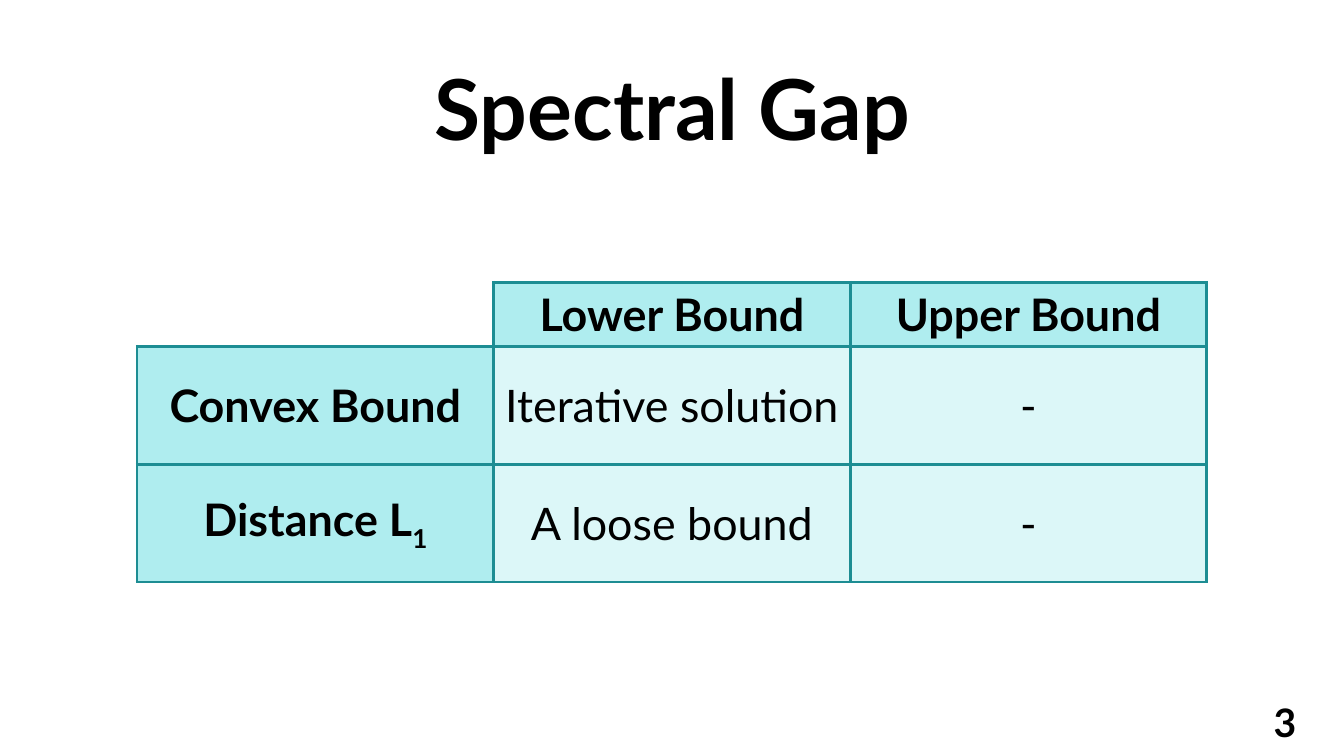
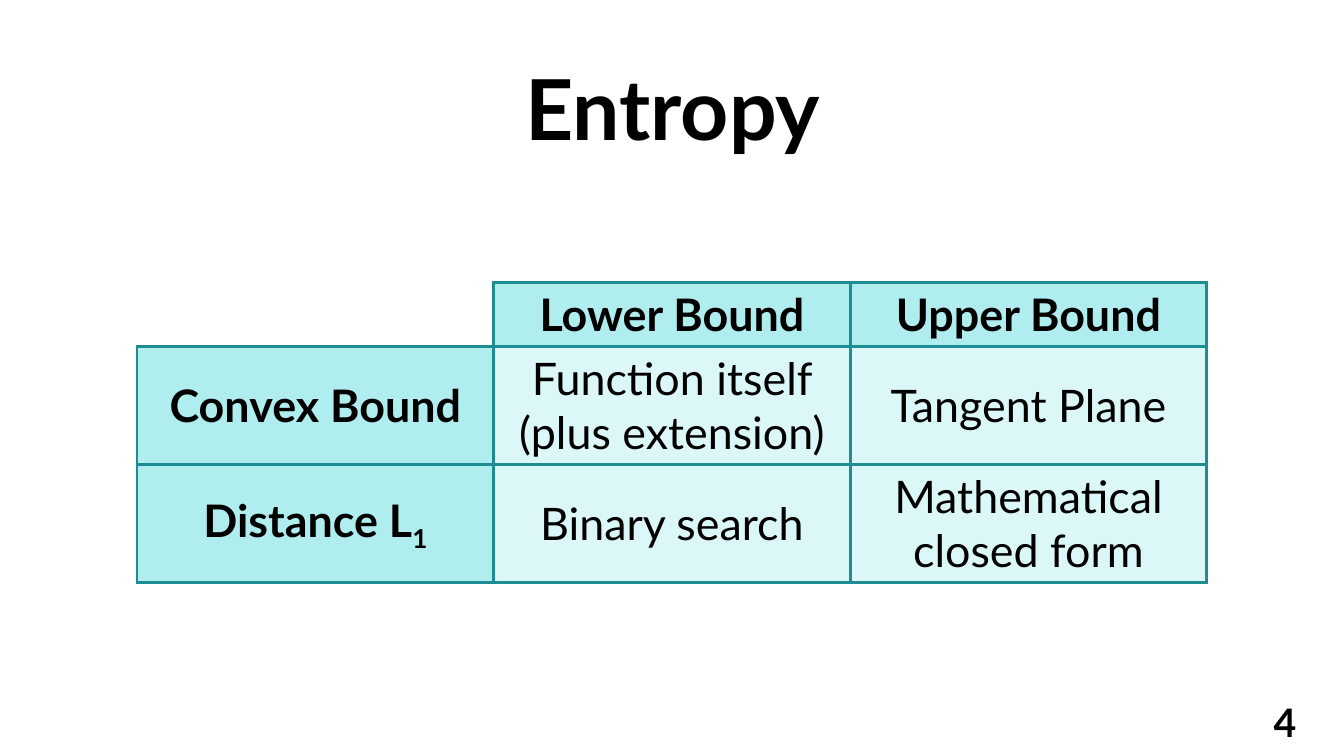
from dataclasses import dataclass

from lxml.etree import SubElement
from pptx import Presentation
from pptx.dml.color import RGBColor
from pptx.enum.text import MSO_ANCHOR, MSO_AUTO_SIZE, PP_ALIGN
from pptx.oxml.ns import qn
from pptx.util import Inches, Pt

BLACK = RGBColor(0x00, 0x00, 0x00)
TEAL = RGBColor(0x1D, 0x8D, 0x93)
AQUA = RGBColor(0xAF, 0xED, 0xEF)
PALE = RGBColor(0xDC, 0xF7, 0xF8)

TITLE = {"name": "Lato", "size": Pt(60), "bold": True}
NUMBER = {"name": "Lato", "size": Pt(28), "bold": True}
HEAD = {"name": "Lato", "size": Pt(32), "bold": True}
BODY = {"name": "Lato", "size": Pt(32), "bold": False}
FRAME = {
    "word_wrap": True,
    "auto_size": MSO_AUTO_SIZE.NONE,
    "vertical_anchor": MSO_ANCHOR.MIDDLE,
}

BOUNDS = ("Lower Bound", "Upper Bound")
WIDTH = Inches(10.61)
HEIGHTS = (Inches(0.63), Inches(1.17), Inches(1.17))
BORDER = Pt(2.25)


@dataclass(frozen=True)
class Page:
    title: str
    number: int
    convex: tuple[str, str]
    distance: tuple[str, str]

    def grid(self) -> list[tuple[str, ...]]:
        """Give the table rows; an underscore starts a subscript."""
        return [
            ("", *BOUNDS),
            ("Convex Bound", *self.convex),
            ("Distance L_1", *self.distance),
        ]


PAGES = (
    Page("Spectral Gap", 3, ("Iterative solution", "-"), ("A loose bound", "-")),
    Page(
        "Entropy",
        4,
        ("Function itself (plus extension)", "Tangent Plane"),
        ("Binary search", "Mathematical closed form"),
    ),
)


def assign(target, values: dict) -> None:
    for name, value in values.items():
        setattr(target, name, value)


def write(frame, text: str, style: dict) -> None:
    """Fill a frame with one centred line, subscripting after an underscore."""
    line = frame.paragraphs[0]
    line.alignment = PP_ALIGN.CENTER
    for index, part in enumerate(text.split("_")):
        run = line.add_run()
        run.text = part
        assign(run.font, style)
        run.font.color.rgb = BLACK
        if index:
            run.font._element.set("baseline", "-25000")


def edge(cell, side: str, shown: bool) -> None:
    line = SubElement(cell._tc.get_or_add_tcPr(), qn(f"a:ln{side}"), w=str(BORDER))
    if shown:
        fill = SubElement(line, qn("a:solidFill"))
        SubElement(fill, qn("a:srgbClr"), val=str(TEAL))
    else:
        SubElement(line, qn("a:noFill"))


def add_title(slide, text: str) -> None:
    title = slide.shapes.title
    title.left, title.top = Inches(0.92), Inches(0.4)
    title.width, title.height = Inches(11.5), Inches(1.45)
    assign(title.text_frame, FRAME)
    write(title.text_frame, text, TITLE)
    title.text_frame.paragraphs[0].line_spacing = 0.9


def add_number(slide, number: int) -> None:
    box = slide.shapes.add_textbox(
        Inches(12.16), Inches(6.96), Inches(1.17), Inches(0.4)
    )
    assign(box.text_frame, FRAME)
    write(box.text_frame, str(number), NUMBER)


def add_grid(slide, rows: list[tuple[str, ...]]) -> None:
    table = slide.shapes.add_table(
        len(rows), len(rows[0]), Inches(1.36), Inches(2.8), WIDTH, sum(HEIGHTS)
    ).table
    assign(table, {"first_row": False, "horz_banding": False})
    for column in table.columns:
        column.width = WIDTH // len(rows[0])
    for r, texts in enumerate(rows):
        table.rows[r].height = HEIGHTS[r]
        for c, text in enumerate(texts):
            cell = table.cell(r, c)
            cell.vertical_anchor = MSO_ANCHOR.MIDDLE
            corner = r == c == 0
            for side in "LRTB":
                edge(cell, side, not corner or side in "RB")
            if corner:
                cell.fill.background()
                continue
            head = r == 0 or c == 0
            cell.fill.solid()
            cell.fill.fore_color.rgb = AQUA if head else PALE
            write(cell.text_frame, text, HEAD if head else BODY)


def main() -> None:
    deck = Presentation()
    deck.slide_width, deck.slide_height = Inches(13.33), Inches(7.5)
    layout = deck.slide_layouts.get_by_name("Title Only")
    for page in PAGES:
        slide = deck.slides.add_slide(layout)
        add_number(slide, page.number)
        add_title(slide, page.title)
        add_grid(slide, page.grid())
    deck.save("out.pptx")


if __name__ == "__main__":
    main()
